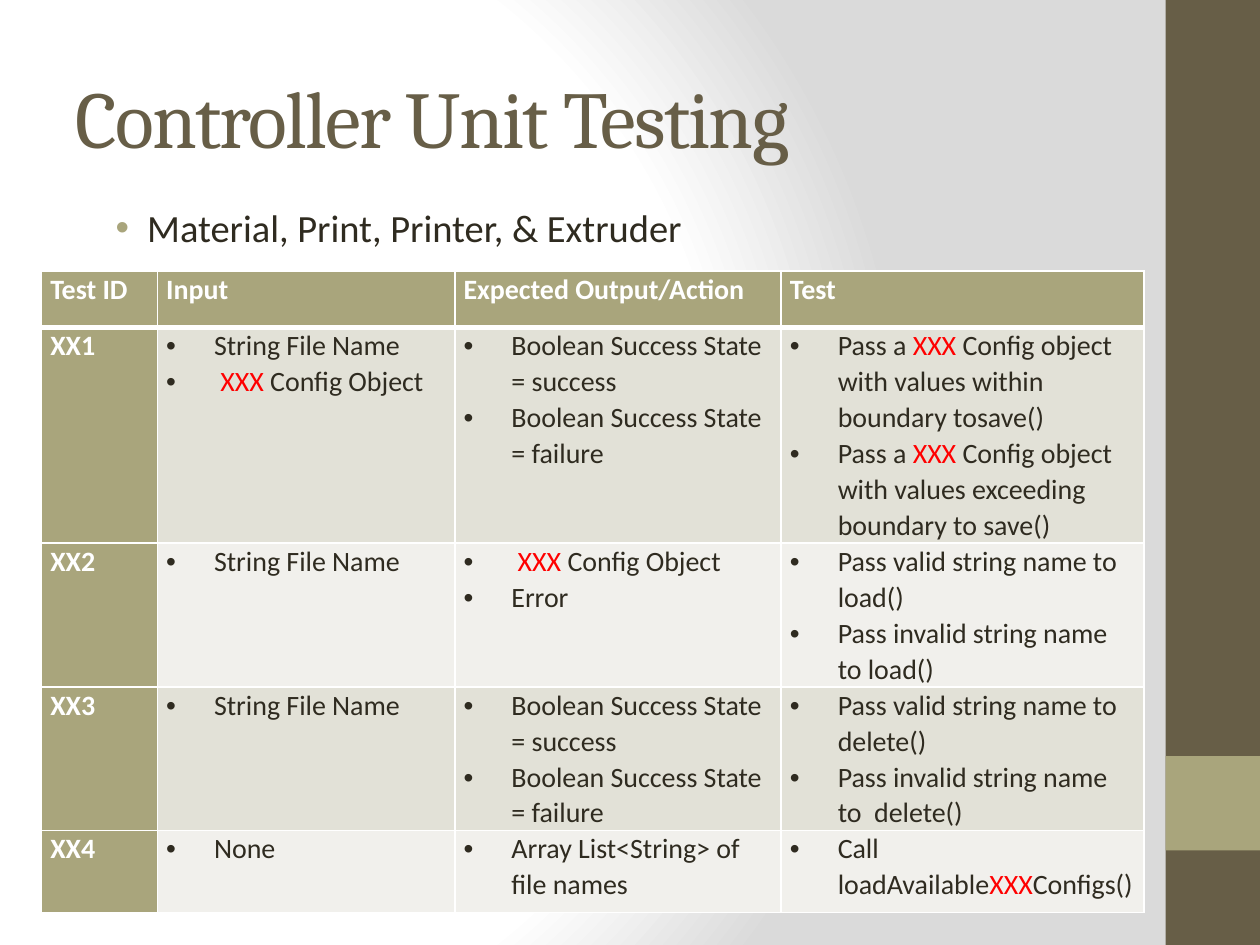
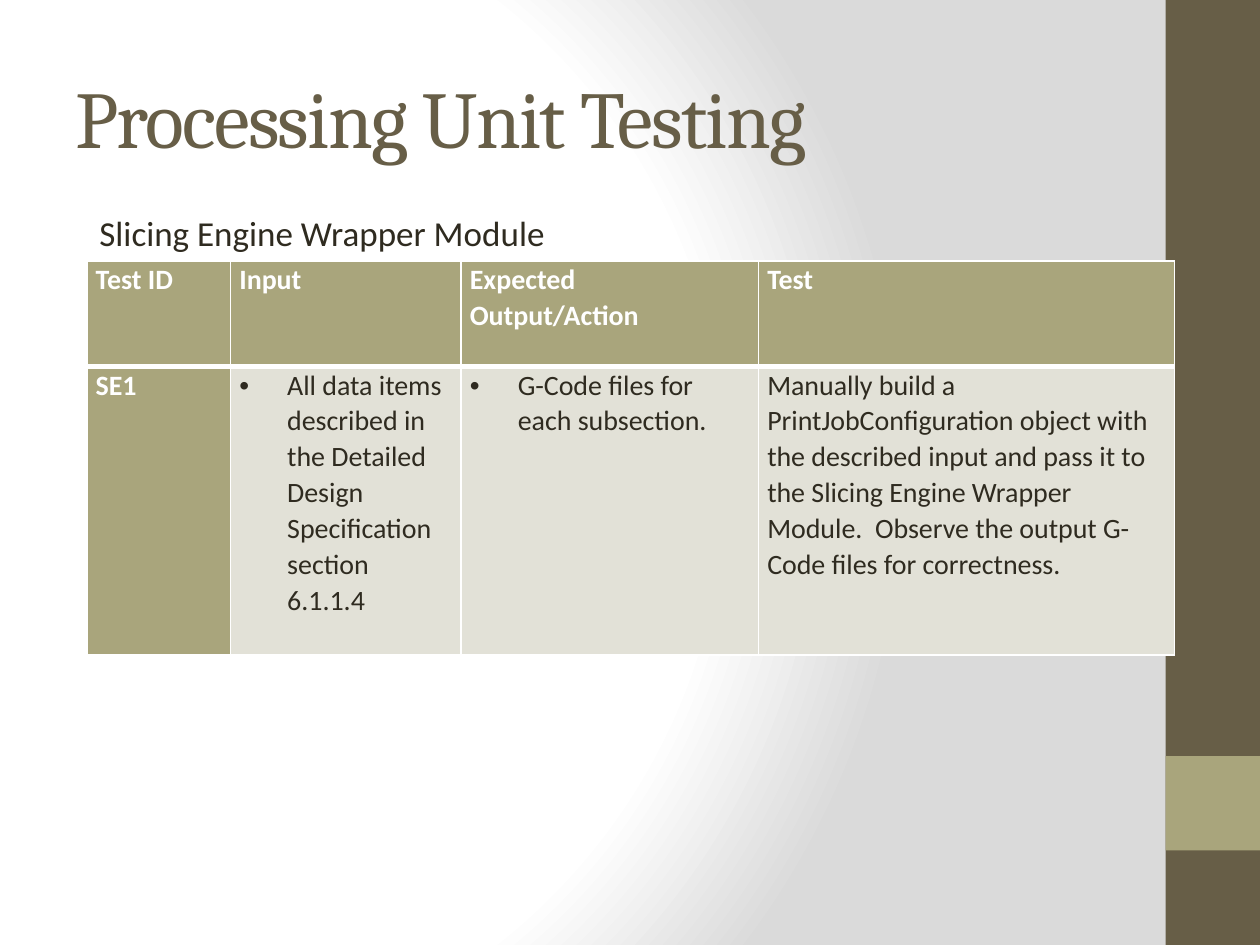
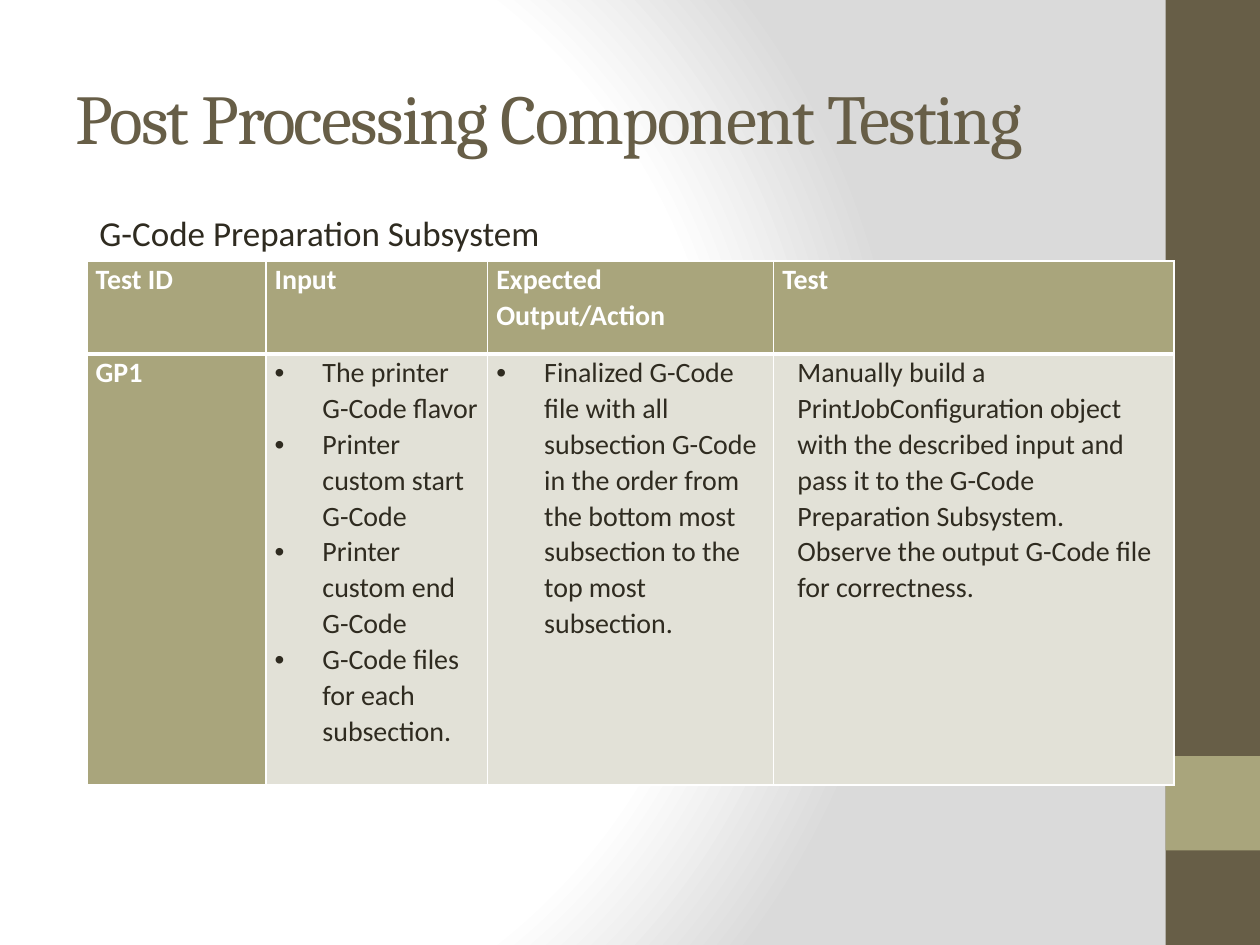
from lxml.etree import SubElement
from pptx import Presentation
from pptx.dml.color import RGBColor
from pptx.enum.shapes import MSO_SHAPE as Shape
from pptx.enum.text import MSO_ANCHOR as Anchor, MSO_AUTO_SIZE as AutoSize, PP_ALIGN as Align
from pptx.oxml import parse_xml
from pptx.oxml.ns import nsdecls, qn
from pptx.util import Inches, Pt

COLORS = {
    "brown": "675E47",
    "olive": "A9A57C",
    "ink": "2F2B20",
    "odd": "E2E1D7",
    "even": "F1F0EC",
    "white": "FFFFFF",
    "gray": "DADADA",
    "red": "FF0000",
}
HEADINGS = ["Test ID", "Input", "Expected Output/Action", "Test"]
SUCCESS_STATES = ["Boolean Success State = success", "Boolean Success State = failure"]
GRID_COLUMNS, GRID_ROWS = 100, 75
MARK = "|"


class TestPlan:
    title_font, body_font = "Cambria", "Calibri"
    cell_size, cell_spacing = 16, 1.05
    cell_indent, cell_inset = 3.8, 0.7
    thin, thick = 1, 3

    def __init__(self):
        self.deck = Presentation()
        self.deck.slide_width, self.deck.slide_height = Inches(10), Inches(7.5)
        self.page = None

    def columns(self, count):
        return round(self.deck.slide_width * count / GRID_COLUMNS)

    def rows(self, count):
        return round(self.deck.slide_height * count / GRID_ROWS)

    def place(self, left, top, width, height):
        return self.columns(left), self.rows(top), self.columns(width), self.rows(height)

    def start_page(self, title, size=46):
        self.page = self.deck.slides.add_slide(self.deck.slide_layouts[6])
        self.background()
        self.band(0, GRID_ROWS, "brown")
        self.band(60, 7.5, "olive")
        para = self.text_box((5, 3, 83.3, 12.5), Anchor.MIDDLE)
        self.span(para, title, size, "brown", font=self.title_font, spacing=-1)

    def background(self):
        stops = "".join(
            f'<a:gs pos="{share * 1000}"><a:srgbClr val="{COLORS[name]}"/></a:gs>'
            for share, name in ((0, "white"), (75, "white"), (100, "gray"))
        )
        self.page.element.cSld.insert(0, parse_xml(
            f'<p:bg {nsdecls("p", "a")}><p:bgPr><a:gradFill rotWithShape="1">'
            f'<a:gsLst>{stops}</a:gsLst><a:path path="circle">'
            '<a:fillToRect l="20000" t="50000" r="100000" b="50000"/></a:path>'
            '</a:gradFill><a:effectLst/></p:bgPr></p:bg>'
        ))

    def band(self, top, height, color):
        band = self.page.shapes.add_shape(Shape.RECTANGLE, *self.place(92.5, top, 7.5, height))
        band.shadow.inherit = False
        band.fill.solid()
        band.fill.fore_color.rgb = RGBColor.from_string(COLORS[color])
        band.line.fill.background()

    def text_box(self, area, anchor=Anchor.TOP):
        frame = self.page.shapes.add_textbox(*self.place(*area)).text_frame
        frame.word_wrap = True
        frame.auto_size = AutoSize.NONE
        frame.vertical_anchor = anchor
        return frame.paragraphs[0]

    def span(self, para, text, size, color, bold=False, font=body_font, spacing=0):
        span = para.add_run()
        span.text = text
        span.font.size = Pt(size)
        span.font.name = font
        span.font.bold = bold
        span.font.color.rgb = RGBColor.from_string(COLORS[color])
        if spacing:
            span.font._element.set("spc", str(spacing * 100))

    def indent(self, para, margin, hanging=0):
        props = para._p.get_or_add_pPr()
        props.set("marL", str(self.columns(margin)))
        props.set("indent", str(-self.columns(hanging)))
        return props

    def bullet(self, para, margin, hanging, color=None):
        props = self.indent(para, margin, hanging)
        if color:
            SubElement(SubElement(props, qn("a:buClr")), qn("a:srgbClr"), val=COLORS[color])
        SubElement(props, qn("a:buFont"), typeface="Arial")
        SubElement(props, qn("a:buChar"), char="•")

    def subject(self, text):
        self.span(self.text_box((6.9, 16.3, 86.2, 4.4)), text, 20, "ink")

    def bulleted_subject(self, text):
        para = self.text_box((6.9, 15.7, 86.2, 47.6))
        self.bullet(para, 3.8, 2.5, "olive")
        self.span(para, text, 22, "ink")

    def borders(self, cell, top, bottom):
        props = cell._tc.get_or_add_tcPr()
        widths = {"lnL": self.thin, "lnR": self.thin, "lnT": top, "lnB": bottom}
        for side, width in widths.items():
            line = SubElement(props, qn(f"a:{side}"), w=str(Pt(width)))
            SubElement(SubElement(line, qn("a:solidFill")), qn("a:srgbClr"), val=COLORS["white"])

    def fill_cell(self, cell, content, is_heading, fill, prose_indent):
        cell.margin_left = cell.margin_right = self.columns(self.cell_inset)
        cell.margin_top = cell.margin_bottom = 0
        cell.fill.solid()
        cell.fill.fore_color.rgb = RGBColor.from_string(COLORS[fill])
        bulleted = isinstance(content, list)
        frame = cell.text_frame
        for index, text in enumerate(content if bulleted else [content]):
            para = frame.add_paragraph() if index else frame.paragraphs[0]
            if bulleted:
                self.bullet(para, self.cell_indent, self.cell_indent)
            elif is_heading:
                para.alignment = Align.JUSTIFY
            else:
                self.indent(para, prose_indent)
            para.line_spacing = self.cell_spacing
            base = "white" if is_heading else "ink"
            for part, piece in enumerate(text.split(MARK)):
                if piece:
                    self.span(para, piece, self.cell_size, "red" if part % 2 else base, is_heading)

    def test_table(self, left, top, widths, heights, tests, prose_indent=0):
        area = self.place(left, top, sum(widths), sum(heights))
        table = self.page.shapes.add_table(len(heights), len(widths), *area).table
        for column, width in zip(table.columns, widths):
            column.width = self.columns(width)
        for row, height in zip(table.rows, heights):
            row.height = self.rows(height)
        for r, contents in enumerate([HEADINGS] + tests):
            for c, content in enumerate(contents):
                cell = table.cell(r, c)
                self.borders(cell, self.thick if r == 1 else self.thin,
                             self.thick if r == 0 else self.thin)
                is_heading = r == 0 or c == 0
                fill = "olive" if is_heading else "odd" if r % 2 else "even"
                self.fill_cell(cell, content, is_heading, fill, prose_indent)


def controller_page(plan):
    plan.start_page("Controller Unit Testing")
    plan.bulleted_subject("Material, Print, Printer, & Extruder")
    plan.test_table(3.3, 21.5, [9.2, 23.6, 25.9, 28.8], [4.5, 14.3, 9.8, 10.9, 6.5], [
        ["XX1", ["String File Name", " |XXX |Config Object"], SUCCESS_STATES,
         ["Pass a |XXX |Config object with values within boundary tosave()",
          "Pass a |XXX |Config object with values exceeding boundary to save()"]],
        ["XX2", ["String File Name"], [" |XXX |Config Object", "Error"],
         ["Pass valid string name to load()", "Pass invalid string name to load()"]],
        ["XX3", ["String File Name"], SUCCESS_STATES,
         ["Pass valid string name to delete()", "Pass invalid string name to  delete()"]],
        ["XX4", ["None"], ["Array List<String> of file names"],
         ["Call loadAvailable|XXX|Configs()"]],
    ])


def processing_page(plan):
    plan.start_page("Processing Unit Testing")
    plan.test_table(6.9, 20.7, [11.4, 18.3, 23.6, 33], [8.4, 22.9], [
        ["SE1",
         ["All data items described in the Detailed Design Specification section 6.1.1.4"],
         ["G-Code files for each subsection."],
         "Manually build a PrintJobConfiguration object with the described input and pass it "
         "to the Slicing Engine Wrapper Module.  Observe the output G-Code files for "
         "correctness."],
    ])
    plan.subject("Slicing Engine Wrapper Module")


def post_processing_page(plan):
    plan.start_page("Post Processing Component Testing", size=40)
    plan.test_table(6.9, 20.7, [14.2, 17.6, 22.7, 31.8], [7.4, 34.2], [
        ["GP1",
         ["The printer G-Code flavor", "Printer custom start G-Code",
          "Printer custom end G-Code", "G-Code files for each subsection."],
         ["Finalized G-Code file with all subsection G-Code in the order from the bottom most "
          "subsection to the top most subsection."],
         "Manually build a PrintJobConfiguration object with the described input and pass it "
         "to the G-Code Preparation Subsystem.  Observe the output G-Code file for "
         "correctness."],
    ], prose_indent=1.2)
    plan.subject("G-Code Preparation Subsystem")


def main():
    plan = TestPlan()
    for build_page in (controller_page, processing_page, post_processing_page):
        build_page(plan)
    plan.deck.save("out.pptx")


if __name__ == "__main__":
    main()
